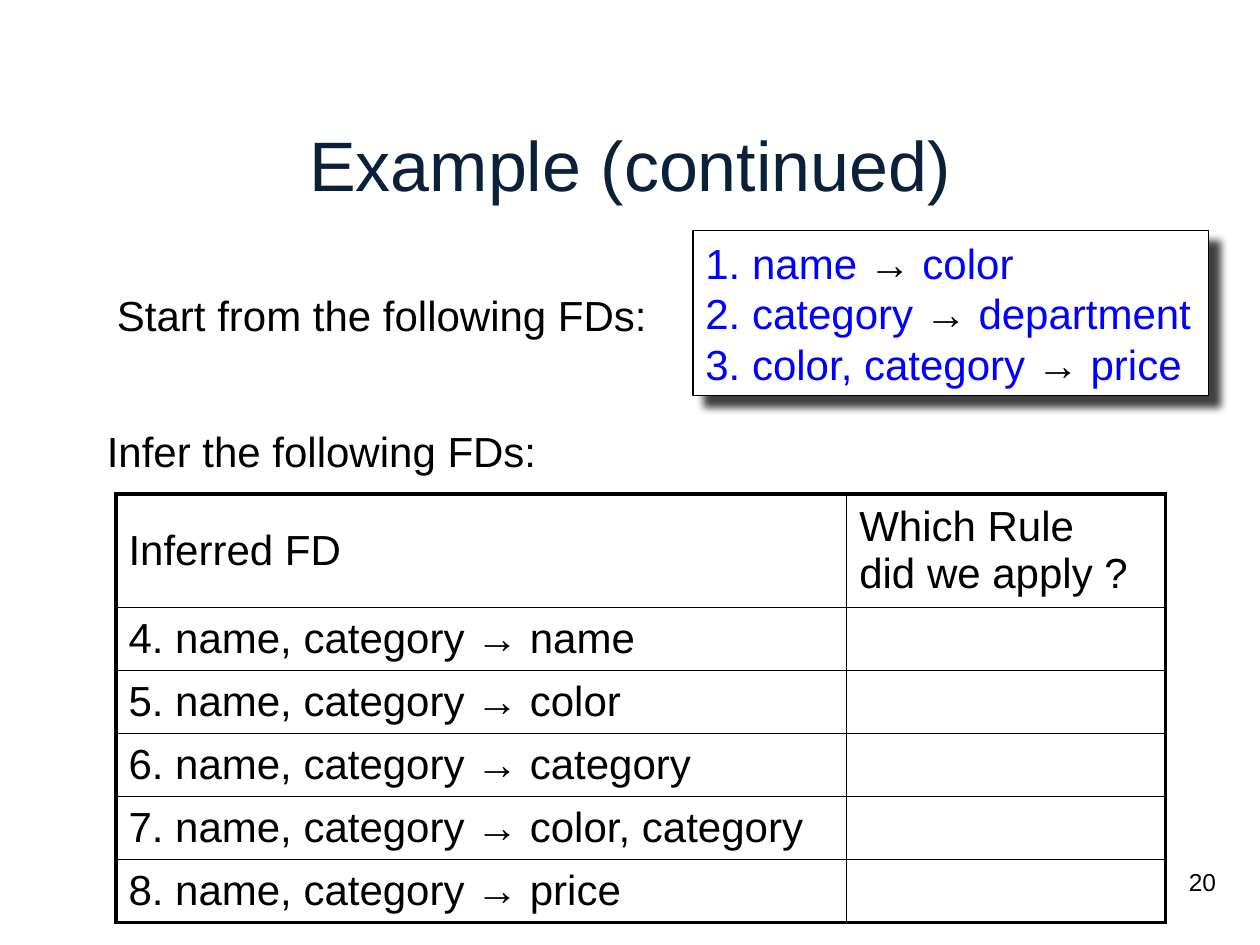
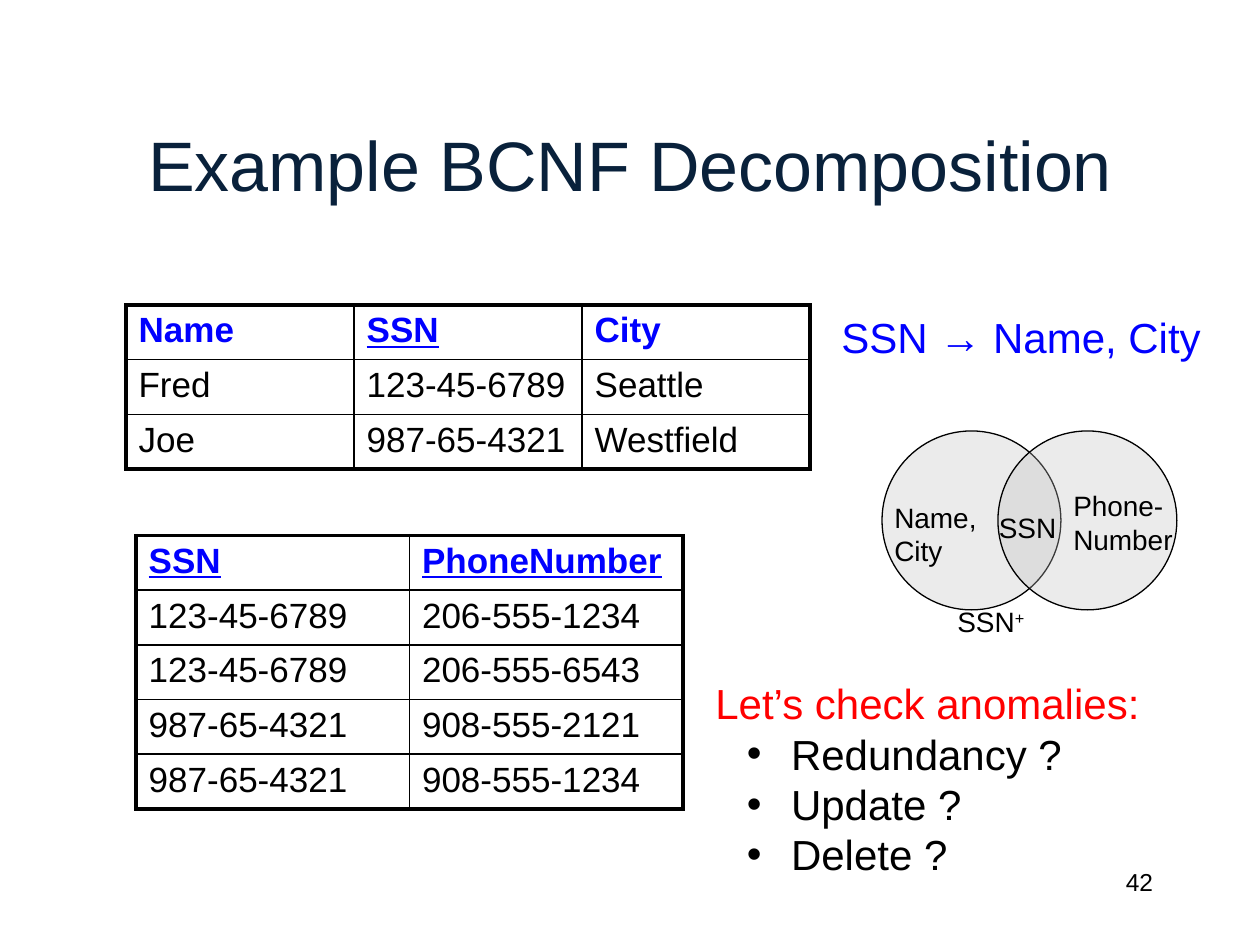
from lxml.etree import SubElement
from pptx import Presentation
from pptx.dml.color import RGBColor
from pptx.enum.shapes import MSO_SHAPE as Shape
from pptx.enum.text import MSO_ANCHOR as Anchor, MSO_AUTO_SIZE as AutoSize, PP_ALIGN as Align
from pptx.oxml.ns import qn
from pptx.util import Inches, Pt

FONT = "Arial"
COLORS = {
    "title": "09213B",
    "text": "000000",
    "key": "0000FF",
    "alert": "FF0000",
    "paper": "FFFFFF",
    "venn": "C0C0C0",
}
THIN, THICK = 1, 2.25


def color(name):
    return RGBColor.from_string(COLORS[name])


def format_run(run, size, color_name, bold=False, underline=False):
    font = run.font
    font.name = FONT
    font.size = Pt(size)
    font.color.rgb = color(color_name)
    font.bold = bold
    font.underline = underline


def add_label(slide, text, left, top, width, height, size=24, color_name="text"):
    """Add a text box that keeps its lines unwrapped."""
    shape = slide.shapes.add_textbox(Inches(left), Inches(top), Inches(width), Inches(height))
    frame = shape.text_frame
    frame.word_wrap = False
    frame.auto_size = AutoSize.SHAPE_TO_FIT_TEXT
    frame.text = text
    for run in frame.paragraphs[0].runs:
        format_run(run, size, color_name)
    return shape


def add_page(presentation, title, number, number_left):
    """Add a blank slide with the shared title and page number."""
    slide = presentation.slides.add_slide(presentation.slide_layouts[6])
    heading = add_label(slide, title, 0.75, 0.67, 8.5, 1.25, 40, "title").text_frame
    heading.vertical_anchor = Anchor.MIDDLE
    heading.paragraphs[0].alignment = Align.CENTER
    page = add_label(slide, str(number), number_left, 6.83, 2.08, 0.5, 14).text_frame
    page.paragraphs[0].alignment = Align.RIGHT
    for frame in (heading, page):
        frame.word_wrap = True
        frame.auto_size = AutoSize.NONE
    return slide


def set_borders(cell, widths):
    """Draw the cell's edges; widths maps L, R, T and B to points."""
    properties = cell._tc.get_or_add_tcPr()
    for side, width in widths.items():
        line = SubElement(properties, qn(f"a:ln{side}"), w=str(Pt(width)))
        fill = SubElement(line, qn("a:solidFill"))
        SubElement(fill, qn("a:srgbClr"), val=COLORS["text"])


def add_grid(slide, rows, left, top, column_widths, row_heights, size,
             anchor=Anchor.TOP, bold_header=False, keys=()):
    """Add a table with a thick frame; header names in keys are underlined."""
    table = slide.shapes.add_table(
        len(rows), len(column_widths), Inches(left), Inches(top),
        Inches(sum(column_widths)), Inches(sum(row_heights))).table
    table.first_row = table.horz_banding = False
    for column, width in zip(table.columns, column_widths):
        column.width = Inches(width)
    for row, height in zip(table.rows, row_heights):
        row.height = Inches(height)

    last_row, last_column = len(rows) - 1, len(column_widths) - 1
    for i, values in enumerate(rows):
        header = bold_header and i == 0
        for j, value in enumerate(values):
            cell = table.cell(i, j)
            cell.vertical_anchor = anchor
            set_borders(cell, {
                "L": THICK if j == 0 else THIN,
                "R": THICK if j == last_column else THIN,
                "T": THICK if i == 0 else THIN,
                "B": THICK if i == last_row else THIN,
            })
            cell.fill.background()
            cell.text = value
            for run in cell.text_frame.paragraphs[0].runs:
                format_run(run, size, "key" if header else "text",
                           header, header and value in keys)


def add_outlined_shape(slide, kind, left, top, width, height, fill):
    shape = slide.shapes.add_shape(
        kind, Inches(left), Inches(top), Inches(width), Inches(height))
    shape.fill.solid()
    shape.fill.fore_color.rgb = color(fill)
    shape.line.color.rgb = color("text")
    shape.line.width = Pt(0.75)
    shape.shadow.inherit = False
    return shape


def add_drop_shadow(shape):
    effects = shape._element.spPr.find(qn("a:effectLst"))
    shadow = SubElement(effects, qn("a:outerShdw"), blurRad=str(Pt(5)), dist=str(Pt(8.5)),
                        dir=str(45 * 60000), algn="ctr", rotWithShape="0")
    tint = SubElement(shadow, qn("a:srgbClr"), val=COLORS["text"])
    SubElement(tint, qn("a:alpha"), val="75000")


def add_dependency_box(slide, dependencies, left, top, width, height):
    """List dependencies, each a (left side, right side) pair, in a raised box."""
    box = add_outlined_shape(slide, Shape.RECTANGLE, left, top, width, height, "paper")
    add_drop_shadow(box)
    frame = box.text_frame
    frame.word_wrap = False
    frame.auto_size = AutoSize.SHAPE_TO_FIT_TEXT
    frame.vertical_anchor = Anchor.MIDDLE
    for i, (source, target) in enumerate(dependencies):
        paragraph = frame.paragraphs[0] if i == 0 else frame.add_paragraph()
        paragraph.alignment = Align.LEFT
        parts = ((f"{i + 1}. {source} ", "key"), ("→", "text"), (f" {target}", "key"))
        for text, color_name in parts:
            run = paragraph.add_run()
            run.text = text
            format_run(run, 24, color_name)


def add_venn_circle(slide, left, top, diameter):
    circle = add_outlined_shape(slide, Shape.OVAL, left, top, diameter, diameter, "venn")
    tint = circle._element.spPr.find(qn("a:solidFill"))[0]
    SubElement(tint, qn("a:alpha"), val="31000")


def add_bullet(frame, text):
    paragraph = frame.add_paragraph()
    paragraph.text = text
    properties = paragraph._p.get_or_add_pPr()
    properties.set("marL", str(Inches(0.6)))
    properties.set("indent", str(Inches(-0.35)))
    SubElement(properties, qn("a:buFont"), typeface=FONT)
    SubElement(properties, qn("a:buChar"), char="•")
    format_run(paragraph.runs[0], 24, "text")


def build_inference_slide(presentation):
    slide = add_page(presentation, "Example (continued)", 20, 7.67)
    add_label(slide, "Start from the following FDs:", 0.83, 2.25, 4.45, 0.5)
    add_label(slide, "Infer the following FDs:", 0.75, 3.33, 3.64, 0.5)
    inferred = ["name", "color", "category", "color, category", "price"]
    rows = [("Inferred FD", "Which Rule\vdid we apply ?")]
    rows += [(f"{number}. name, category → {target}", "")
             for number, target in enumerate(inferred, 4)]
    add_grid(slide, rows, 0.92, 3.92, [5.8, 2.53], [0.9] + [0.5] * len(inferred), 24,
             Anchor.MIDDLE)
    add_dependency_box(slide, [("name", "color"), ("category", "department"),
                               ("color, category", "price")], 5.5, 1.83, 4.09, 1.31)


def build_decomposition_slide(presentation):
    slide = add_page(presentation, "Example BCNF Decomposition", 42, 7.17)
    keys = ("SSN", "PhoneNumber")
    people = [
        ("Name", "SSN", "City"),
        ("Fred", "123-45-6789", "Seattle"),
        ("Joe", "987-65-4321", "Westfield"),
    ]
    phones = [
        keys,
        ("123-45-6789", "206-555-1234"),
        ("123-45-6789", "206-555-6543"),
        ("987-65-4321", "908-555-2121"),
        ("987-65-4321", "908-555-1234"),
    ]
    for rows, left, top, width in ((people, 1, 2.42, 1.81), (phones, 1.08, 4.25, 2.17)):
        add_grid(slide, rows, left, top, [width] * len(rows[0]), [0.41] * len(rows), 20,
                 bold_header=True, keys=keys)

    add_label(slide, "SSN → Name, City", 6.58, 2.42, 3.17, 0.5, color_name="key")
    anomalies = add_label(slide, "Let’s check anomalies:", 5.58, 5.33, 3.6, 1.72,
                          color_name="alert")
    for question in ("Redundancy ?", "Update ?", "Delete ?"):
        add_bullet(anomalies.text_frame, question)

    for left in (7, 7.92):
        add_venn_circle(slide, left, 3.42, 1.42)
    add_label(slide, "Name,\vCity", 7, 3.92, 0.86, 0.64, 16)
    add_label(slide, "SSN", 7.83, 4, 0.66, 0.37, 16)
    add_label(slide, "Phone-\vNumber", 8.42, 3.83, 1, 0.64, 16)
    closure = add_label(slide, "SSN", 7.5, 4.75, 0.75, 0.37, 16)
    plus = closure.text_frame.paragraphs[0].add_run()
    plus.text = "+"
    format_run(plus, 16, "text")
    plus.font._element.set("baseline", "30000")


def main():
    presentation = Presentation()
    presentation.slide_width = Inches(10)
    presentation.slide_height = Inches(7.5)
    build_inference_slide(presentation)
    build_decomposition_slide(presentation)
    presentation.save("out.pptx")


if __name__ == "__main__":
    main()
